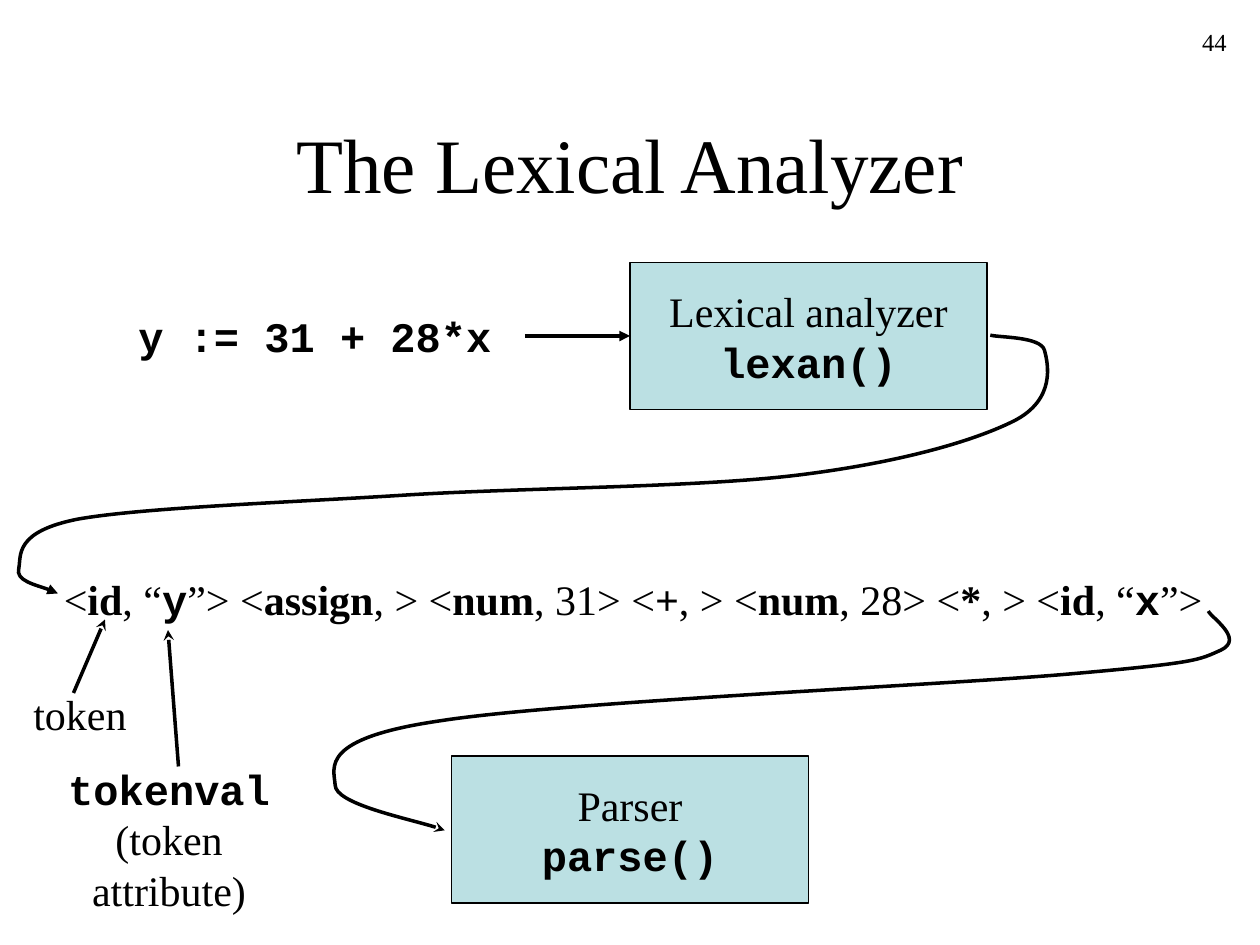
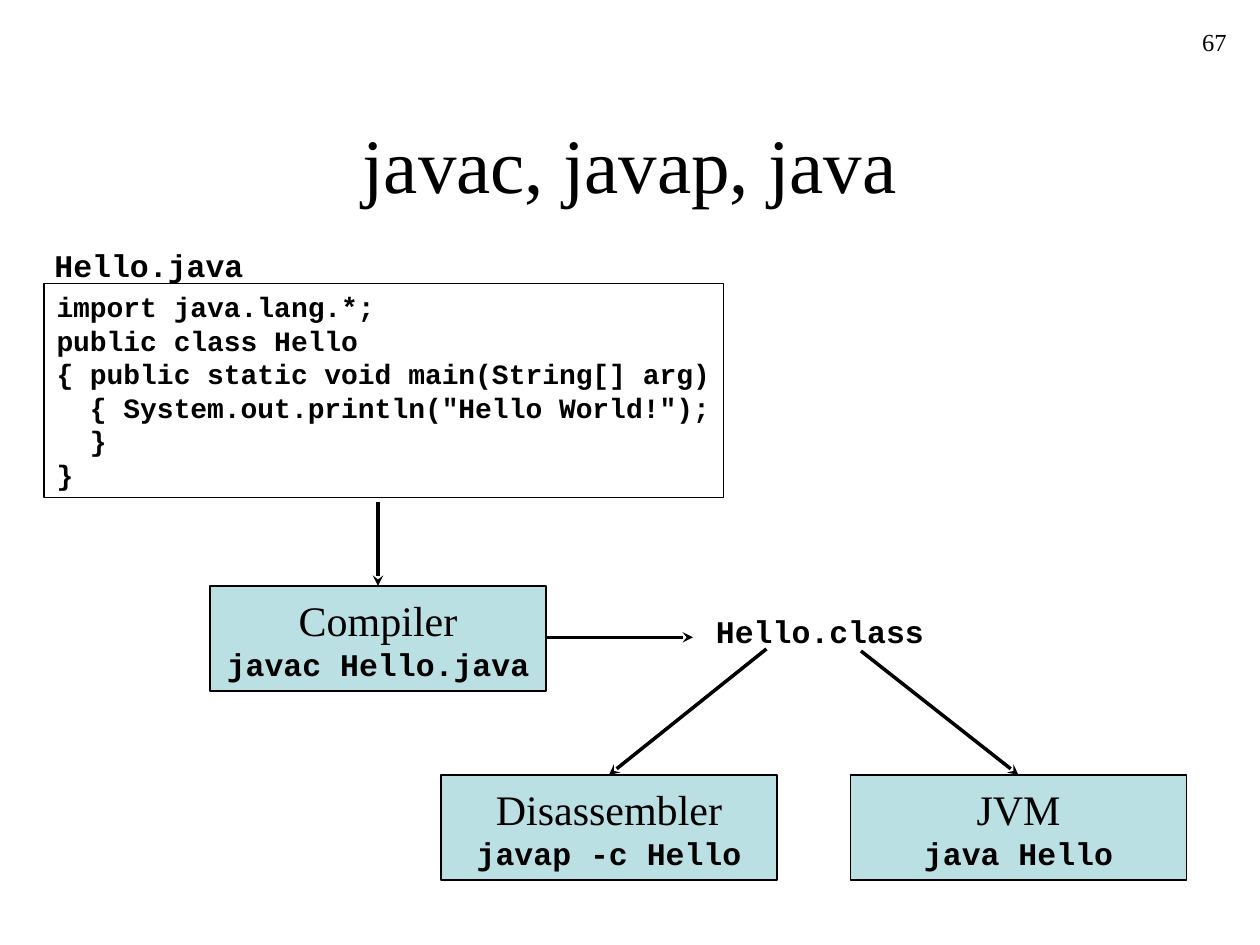
from lxml import etree
from pptx import Presentation
from pptx import util as u
from pptx.dml.color import RGBColor
from pptx.enum import shapes, text
from pptx.oxml.ns import qn

COLORS = {"ink": "000000", "box": "BBE0E3"}
STYLES = {  # font, size, bold
    "title": ("Times New Roman", 44, False),
    "body": ("Times New Roman", 24, False),
    "strong": ("Times New Roman", 24, True),
    "number": ("Times New Roman", 14, False),
    "code": ("Courier New", 24, True),
    "command": ("Courier New", 18, True),
    "listing": ("Courier New", 16, True),
}
INK = RGBColor.from_string(COLORS["ink"])
LEFT, CENTER, RIGHT = text.PP_ALIGN.LEFT, text.PP_ALIGN.CENTER, text.PP_ALIGN.RIGHT

deck = Presentation()
deck.slide_width, deck.slide_height = u.Inches(10), u.Inches(7.5)
CELL = deck.slide_width / 120  # the grid has 120 columns and 90 rows
HUNDREDTH = u.Inches(0.01)  # unit of the curve points


def write_box(page, area, paragraphs, align=LEFT, fill=None, outline=False,
              middle=False, wrap=False):
    """Add a text box on the grid; each paragraph is a list of (style, words)."""
    box = page.shapes.add_textbox(*[u.Emu(round(n * CELL)) for n in area])
    if fill:
        box.fill.solid()
        box.fill.fore_color.rgb = RGBColor.from_string(COLORS[fill])
    if outline:
        box.line.color.rgb = INK
        box.line.width = u.Pt(0.75)
    frame = box.text_frame
    frame.word_wrap = wrap
    frame.vertical_anchor = text.MSO_ANCHOR.MIDDLE if middle else text.MSO_ANCHOR.TOP
    for index, spans in enumerate(paragraphs):
        para = frame.paragraphs[0] if index == 0 else frame.add_paragraph()
        para.alignment = align
        for style, words in spans:
            span = para.add_run()
            span.text = words.rstrip("\n")
            span.font.name, size, span.font.bold = STYLES[style]
            span.font.size = u.Pt(size)
            span.font.color.rgb = INK
            if words.endswith("\n"):
                para.add_line_break()


def style_arrow(arrow, head):
    """Give a connector or curve the common stroke, an arrowhead and no shadow."""
    arrow.line.color.rgb = INK
    arrow.line.width = u.Pt(2)
    properties = arrow._element.spPr
    etree.SubElement(properties.find(qn("a:ln")), qn("a:tailEnd"), type=head)
    if properties.find(qn("a:effectLst")) is None:
        etree.SubElement(properties, qn("a:effectLst"))


lexer_texts = [
    ((12, 29, 36, 6), LEFT, [("code", "y := 31 + 28*x")]),
    ((2, 65, 11.3, 6), LEFT, [("body", "token")]),
    ((2, 72.1, 28.2, 10.8), CENTER,
     [("code", "tokenval\n"), ("body", "(token attribute)")]),
    ((4.9, 54, 110.9, 6), LEFT, [
        ("body", "<"), ("strong", "id"), ("body", ", “"), ("code", "y"),
        ("body", "”> <"), ("strong", "assign"), ("body", ", > <"),
        ("strong", "num"), ("body", ", 31> <"), ("strong", "+"),
        ("body", ", > <"), ("strong", "num"), ("body", ", 28> <"),
        ("strong", "*"), ("body", ", > <"), ("strong", "id"),
        ("body", ", “"), ("code", "x"), ("body", "”>")]),
]
java_texts = [
    ((4, 22.8, 20.4, 4.8), LEFT, [("command", "Hello.java")]),
    ((67, 57.7, 22.2, 4.8), LEFT, [("command", "Hello.class")]),
]
slides = [
    {"title": "The Lexical Analyzer", "number": "44", "texts": lexer_texts,
     "box size": (34, 14), "code style": "code",
     "boxes": [(60, 25, "Lexical analyzer", "lexan()"),
               (43, 72, "Parser", "parse()")],
     "arrows": [(50, 32, 60, 32, "triangle"),
                (7, 66, 10, 59, "stealth"),
                (17, 73, 16, 60, "stealth")]},
    {"title": "javac, javap, java", "number": "67", "texts": java_texts,
     "box size": (32, 10), "code style": "command",
     "boxes": [(20, 55.8, "Compiler", "javac Hello.java"),
               (42, 73.8, "Disassembler", "javap -c Hello"),
               (81, 73.8, "JVM", "java Hello")],
     "arrows": [(36, 47.8, 36, 55.8, "stealth"),
                (52, 60.7, 66, 60.7, "stealth"),
                (73, 61.8, 58, 73.8, "stealth"),
                (82, 62, 97, 73.8, "stealth")]},
]

pages = []
for content in slides:
    page = deck.slides.add_slide(deck.slide_layouts[6])
    pages.append(page)
    write_box(page, (9, 8, 102, 15), [[("title", content["title"])]],
              CENTER, middle=True, wrap=True)
    for left, top, name, command in content["boxes"]:
        label = [("body", name + "\n"), (content["code style"], command)]
        write_box(page, (left, top, *content["box size"]), [label],
                  CENTER, fill="box", outline=True, middle=True)
    for area, align, spans in content["texts"]:
        write_box(page, area, [spans], align)
    for *ends, head in content["arrows"]:
        arrow = page.shapes.add_connector(
            shapes.MSO_CONNECTOR.STRAIGHT, *[u.Emu(round(n * CELL)) for n in ends])
        style_arrow(arrow, head)
    write_box(page, (93, 2, 25, 6), [[("number", content["number"])]], RIGHT, wrap=True)

lexer_page, java_page = pages

# Curves: a start point, then two control points and an end point per segment
token_flow = [
    (786, 266), (793, 268), (826, 267), (829, 278), (832, 289), (838, 317),
    (805, 334), (773, 350), (715, 367), (634, 377), (553, 387), (416, 387),
    (321, 393), (225, 399), (113, 403), (62, 412), (11, 422), (17, 441),
    (15, 451), (12, 461), (39, 467), (46, 471)]
parser_flow = [
    (959, 485), (961, 490), (988, 507), (969, 516), (951, 524), (951, 526),
    (848, 535), (745, 544), (447, 557), (350, 572), (253, 586), (265, 609),
    (266, 623), (266, 638), (335, 652), (353, 659)]
for points, head in [(token_flow, "triangle"), (parser_flow, "stealth")]:
    builder = lexer_page.shapes.build_freeform(*points[0], scale=HUNDREDTH)
    builder.add_line_segments(points[1:], close=False)
    curve = builder.convert_to_shape()
    curve.fill.background()
    curve.shadow.inherit = False
    style_arrow(curve, head)
    # Join every three straight steps into one cubic segment
    steps = list(curve._element.iter(qn("a:lnTo")))
    outline = steps[0].getparent()
    for start in range(0, len(steps), 3):
        cubic = etree.SubElement(outline, qn("a:cubicBezTo"))
        for step in steps[start:start + 3]:
            cubic.append(step[0])
            outline.remove(step)

source_lines = [
    "import java.lang.*;",
    "public class Hello",
    "{ public static void main(String[] arg)",
    "  { System.out.println(\"Hello World!\");",
    "  }",
    "}",
]
write_box(java_page, (4.2, 27, 64.7, 20.4),
          [[("listing", line)] for line in source_lines], outline=True)

deck.save("out.pptx")
